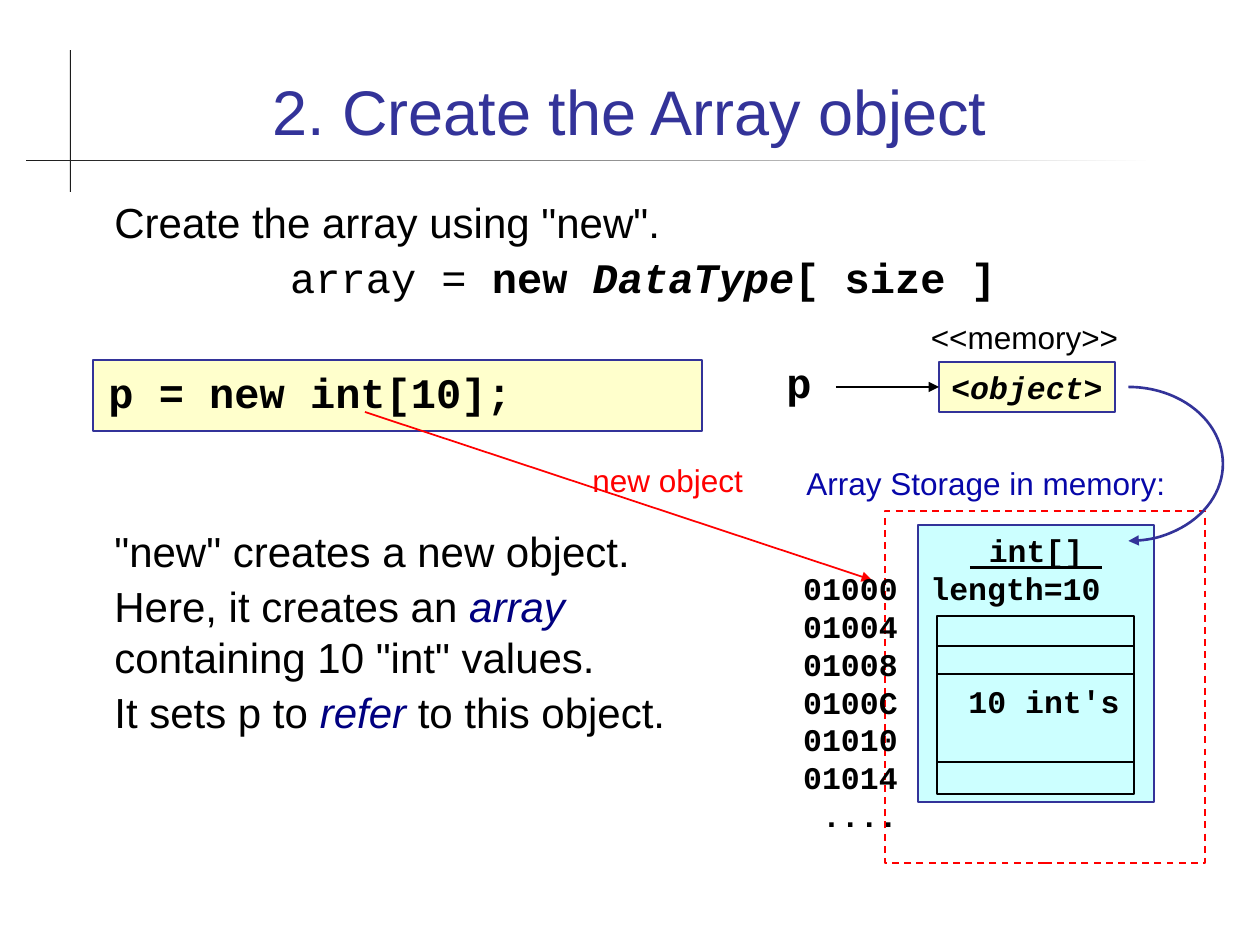
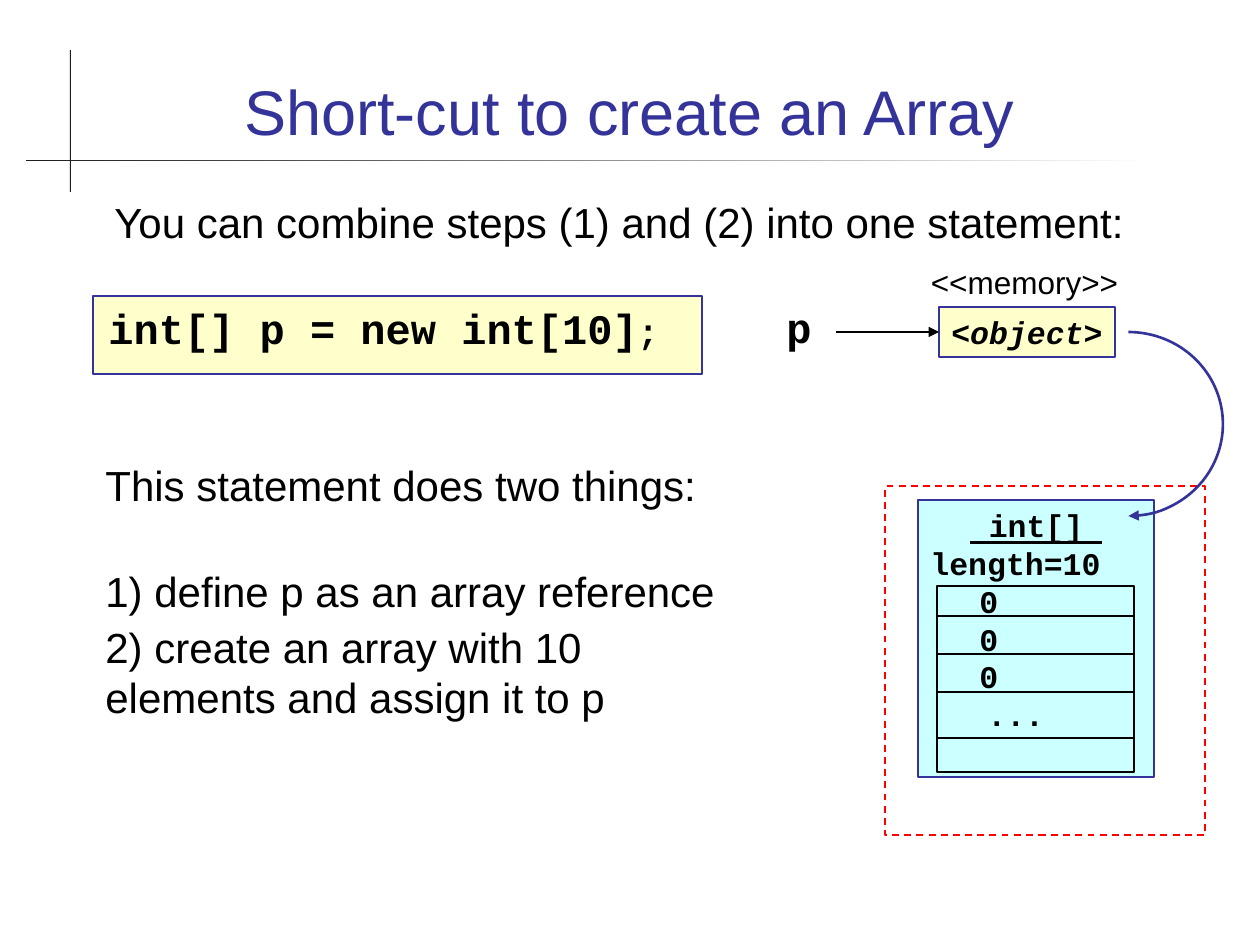
from dataclasses import dataclass, replace

from lxml import etree
from pptx import Presentation
from pptx.dml.color import RGBColor
from pptx.enum.dml import MSO_LINE
from pptx.enum.shapes import MSO_CONNECTOR, MSO_SHAPE
from pptx.enum.text import MSO_ANCHOR, PP_ALIGN
from pptx.oxml.ns import qn
from pptx.util import Pt

EMU_PER_PX = 914400 / 126

BLACK = RGBColor(0x00, 0x00, 0x00)
WHITE = RGBColor(0xFF, 0xFF, 0xFF)
CHARCOAL = RGBColor(0x1C, 0x1C, 0x1C)
INDIGO = RGBColor(0x33, 0x33, 0x99)
BLUE = RGBColor(0x07, 0x07, 0xA9)
NAVY = RGBColor(0x00, 0x00, 0x80)
RED = RGBColor(0xFF, 0x00, 0x00)
CREAM = RGBColor(0xFF, 0xFF, 0xCC)
AQUA = RGBColor(0xCC, 0xFF, 0xFF)

OBJECT_LEFT = 939
STORAGE_LEFT = 918
GRID_LEFT, GRID_WIDTH = 937, 197


@dataclass(frozen=True)
class Style:
    size: int
    name: str = "Arial"
    color: RGBColor = BLACK
    bold: bool = False
    italic: bool = False
    underline: bool = False


TITLE = Style(36, color=INDIGO)
BODY = Style(24)
LABEL = Style(18)
CODE = Style(24, "Courier New", bold=True)
SMALL_CODE = replace(CODE, size=18)
TERM = replace(BODY, color=NAVY, italic=True)


@dataclass
class Line:
    """One paragraph; each run is a string or a (string, Style) pair."""
    runs: list
    style: Style
    align: PP_ALIGN = PP_ALIGN.LEFT
    before: float = 0
    indent: int = 0


def px(length):
    return round(length * EMU_PER_PX)


def apply_style(font, style):
    font.size = Pt(style.size)
    font.name = style.name
    font.color.rgb = style.color
    font.bold = style.bold
    font.italic = style.italic
    font.underline = style.underline


def write_lines(shape, lines, wrap=True, anchor=MSO_ANCHOR.TOP):
    frame = shape.text_frame
    frame.word_wrap = wrap
    frame.vertical_anchor = anchor
    for index, line in enumerate(lines):
        paragraph = frame.add_paragraph() if index else frame.paragraphs[0]
        paragraph.alignment = line.align
        paragraph.space_before = Pt(line.before if index else 0)
        properties = paragraph._p.get_or_add_pPr()
        properties.set("marL", str(px(line.indent)))
        properties.set("indent", "0")
        apply_style(paragraph.font, line.style)
        for item in line.runs:
            text, style = item if isinstance(item, tuple) else (item, None)
            run = paragraph.add_run()
            run.text = text
            if style:
                apply_style(run.font, style)


def add_text(slide, left, top, width, height, lines, wrap=True):
    box = slide.shapes.add_textbox(px(left), px(top), px(width), px(height))
    write_lines(box, lines, wrap)


def add_box(slide, left, top, width, height, fill=None, line=None, weight=0.75,
            kind=MSO_SHAPE.RECTANGLE):
    shape = slide.shapes.add_shape(kind, px(left), px(top), px(width), px(height))
    shape.shadow.inherit = False
    if fill is None:
        shape.fill.background()
    else:
        shape.fill.solid()
        shape.fill.fore_color.rgb = fill
    if line is None:
        shape.line.fill.background()
    else:
        shape.line.color.rgb = line
        shape.line.width = Pt(weight)
    return shape


def add_arrowhead(shape):
    line = shape.line._get_or_add_ln()
    etree.SubElement(line, qn("a:tailEnd"), type="triangle")


def add_line(slide, start, end, color=BLACK, weight=0.75, arrow=False):
    connector = slide.shapes.add_connector(
        MSO_CONNECTOR.STRAIGHT, *(px(value) for value in (*start, *end)))
    connector.line.color.rgb = color
    connector.line.width = Pt(weight)
    if arrow:
        add_arrowhead(connector)
    etree.SubElement(connector._element.spPr, qn("a:effectLst"))
    return connector


def add_title_rules(slide, layout):
    """Draw the crossed rules and move them to the layout that slides share."""
    upright = add_box(slide, 70, 50, 1, 142, CHARCOAL)
    level = add_box(slide, 26, 160, 1130, 1, CHARCOAL)
    level.fill.gradient()
    level.fill.gradient_angle = 0
    for stop, color in zip(level.fill.gradient_stops, (CHARCOAL, WHITE)):
        stop.color.rgb = color
    for rule in (upright, level):
        layout.shapes.element.append(rule.element)


def add_title_slide(presentation, title):
    slide = presentation.slides.add_slide(presentation.slide_layouts[5])
    shape = slide.shapes.title
    shape.left, shape.top, shape.width, shape.height = map(px, (84, 35, 1091, 119))
    write_lines(shape, [Line([title], TITLE, PP_ALIGN.CENTER)],
                anchor=MSO_ANCHOR.BOTTOM)
    return slide


def add_statement(slide, top, height, runs):
    box = add_box(slide, 93, top, 609, height, CREAM, INDIGO)
    write_lines(box, [Line(runs, CODE, indent=3)])


def add_reference(slide, top, arc_height):
    """Variable p, the object reference it holds, and the arc to its storage."""
    height = 50
    middle = top + height // 2
    add_text(slide, 774, top - 12, 50, 63, [Line(["p"], CODE)], wrap=False)
    add_text(slide, 882, top - 50, 285, 50,
             [Line(["<<memory>>"], LABEL, PP_ALIGN.CENTER)])
    reference = add_box(slide, OBJECT_LEFT, top, 176, height, CREAM, INDIGO, 1.5)
    name = ("object", replace(SMALL_CODE, italic=True))
    write_lines(reference, [Line(["<", name, ">"], SMALL_CODE, PP_ALIGN.CENTER)],
                wrap=False)
    pointer = add_line(slide, (836, middle), (OBJECT_LEFT, middle), arrow=True)
    pointer.end_connect(reference, 1)
    arc = add_box(slide, 1034, middle, 189, arc_height, line=INDIGO, weight=1.5,
                  kind=MSO_SHAPE.ARC)
    arc.adjustments[1] = 54  # 90 degrees, in units of 100000/60000 degree
    add_arrowhead(arc)


def add_storage(slide, top, frame_height, lines, grid_top, grid_height, dividers):
    """Array object with its cells, inside a dashed frame."""
    storage = add_box(slide, STORAGE_LEFT, top + 14, 236, 277, AQUA, INDIGO)
    heading = [
        Line([" int[] "], replace(SMALL_CODE, underline=True), PP_ALIGN.CENTER),
        Line(["length=10"], SMALL_CODE),
    ]
    write_lines(storage, heading + lines)
    frame = add_box(slide, 885, top, 320, frame_height, line=RED, weight=1)
    frame.line.dash_style = MSO_LINE.DASH
    add_box(slide, GRID_LEFT, grid_top, GRID_WIDTH, grid_height, line=BLACK)
    for y in dividers:
        add_line(slide, (GRID_LEFT, y), (GRID_LEFT + GRID_WIDTH, y))


def build_create_slide(slide):
    plain = replace(CODE, bold=False)
    syntax = [(" array = ", plain), "new ",
              ("DataType", replace(CODE, italic=True)), "[ size ]"]
    add_text(slide, 102, 190, 1057, 118, [
        Line(['Create the array using "new".'], BODY),
        Line(syntax, CODE, PP_ALIGN.CENTER, before=3),
    ])
    add_statement(slide, 360, 71, ["p = new int[10];"])
    add_text(slide, 102, 519, 661, 226, [
        Line(['"new" creates a new object.'], BODY),
        Line(["Here, it creates an ", ("array ", TERM),
              'containing 10 "int" values.'], BODY, before=3),
        Line(["It sets p to ", ("refer", TERM), " to this object."], BODY, before=3),
    ])
    add_text(slide, 794, 458, 416, 50,
             [Line(["Array Storage in memory:"], replace(LABEL, color=BLUE))])
    add_storage(slide, 511, 352,
                [Line(["10 int's"], SMALL_CODE, before=43, indent=38)],
                616, 178, (646, 674, 762))
    add_reference(slide, 362, 154)
    add_line(slide, (365, 412), (872, 580), RED, 1, arrow=True)
    add_text(slide, 580, 455, 200, 50,
             [Line(["new object"], replace(LABEL, color=RED))])
    addresses = ("01000", "01004", "01008", "0100C", "01010", "01014", "....")
    add_text(slide, 766, 563, 144, 277,
             [Line([address], SMALL_CODE, PP_ALIGN.RIGHT) for address in addresses])


def build_shortcut_slide(slide):
    add_text(slide, 102, 190, 1057, 63, [
        Line(["You can combine steps (1) and (2) into one statement:"], BODY)])
    add_statement(slide, 296, 78,
                  ["int[] p = new int[10]", (";", replace(CODE, size=20))])
    add_text(slide, 93, 453, 661, 276, [
        Line(["This statement does two things:"], BODY),
        Line(["1) define p as an array reference"], BODY, before=32),
        Line(["2) create an array with 10 elements and assign it to p"], BODY,
             before=3),
    ])
    values = [Line(["0"], SMALL_CODE, indent=49) for _ in range(3)]
    add_storage(slide, 486, 349, values + [Line(["..."], SMALL_CODE, indent=57)],
                586, 186, (616, 654, 692, 738))
    add_reference(slide, 307, 184)


def main():
    presentation = Presentation()
    presentation.slide_width, presentation.slide_height = px(1260), px(945)
    create = add_title_slide(presentation, "2. Create the Array object")
    add_title_rules(create, create.slide_layout)
    build_create_slide(create)
    build_shortcut_slide(
        add_title_slide(presentation, "Short-cut to create an Array"))
    presentation.save("out.pptx")


if __name__ == "__main__":
    main()
